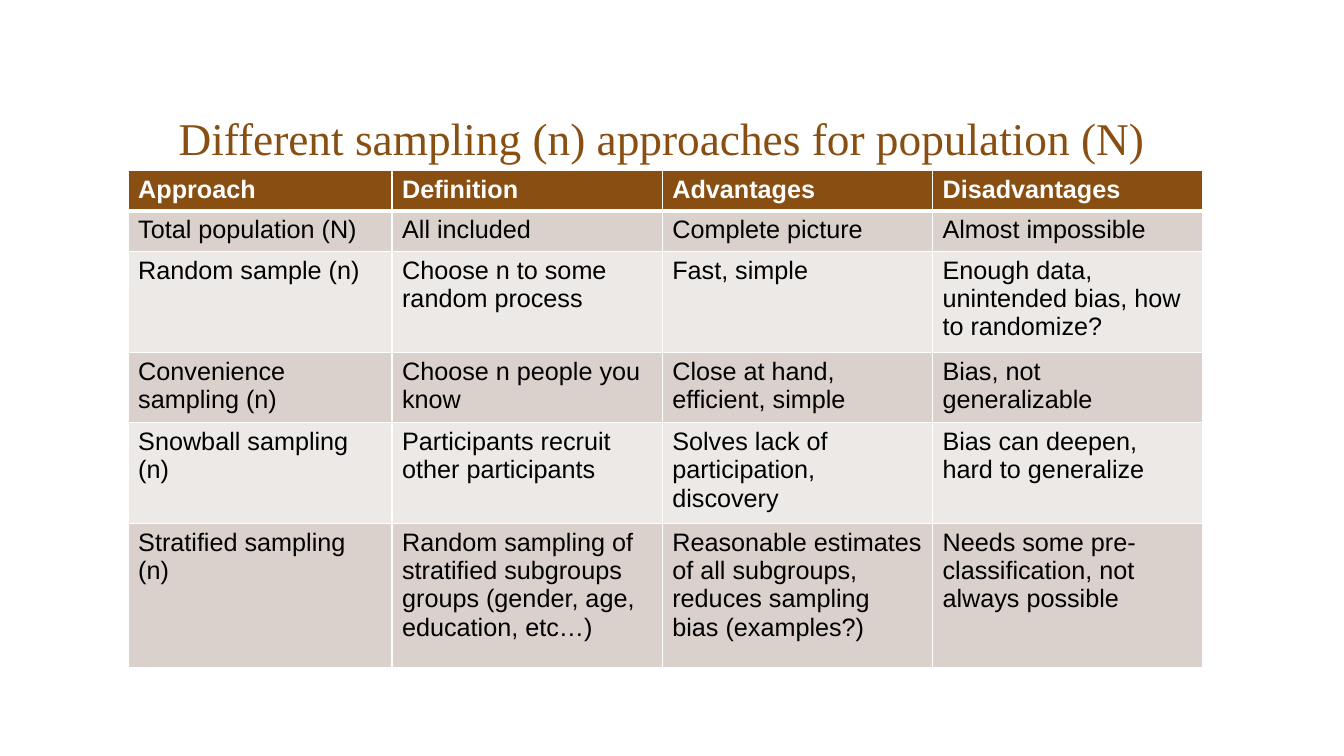
from dataclasses import dataclass

from lxml import etree
from pptx import Presentation
from pptx.dml.color import RGBColor
from pptx.enum.text import MSO_ANCHOR
from pptx.oxml.ns import qn
from pptx.util import Cm, Pt

BOTTOM = MSO_ANCHOR.BOTTOM

# Content
TITLE = "Different sampling (n) approaches for population (N)"
ROWS = [
    ("Approach", "Definition", "Advantages", "Disadvantages"),
    ("Total population (N)", "All included", "Complete picture", "Almost impossible"),
    ("Random sample (n)", "Choose n to some random process", "Fast, simple",
     "Enough data, unintended bias, how to randomize?"),
    ("Convenience sampling (n)", "Choose n people you know",
     "Close at hand, efficient, simple", "Bias, not generalizable"),
    ("Snowball sampling (n)", "Participants recruit other participants",
     "Solves lack of participation, discovery", "Bias can deepen, hard to generalize"),
    ("Stratified sampling (n)",
     "Random sampling of stratified subgroups groups (gender, age, education, etc…)",
     "Reasonable estimates of all subgroups, reduces sampling bias (examples?)",
     "Needs some pre-classification, not always possible"),
]
COL_WIDTHS = [6.65, 6.81, 6.81, 6.81]
ROW_HEIGHTS = [0.97, 0.97, 2.41, 1.68, 2.41, 3.63]


@dataclass(frozen=True)
class Theme:
    title_font: str = "Times New Roman"
    body_font: str = "Arial"
    title_size: float = 32.4
    body_size: float = 18
    accent: str = "894E11"
    white: str = "FFFFFF"
    text: str = "000000"
    bands: tuple = ("EDE9E7", "DAD0CC")
    thin: float = 1
    thick: float = 3


THEME = Theme()


def set_font(p, name, size, color, bold=False):
    p.font.name = name
    p.font.size = Pt(size)
    p.font.bold = bold
    p.font.color.rgb = RGBColor.from_string(color)


def set_borders(cell, bottom_width):
    """Insert the four edge lines ahead of the cell fill."""
    tc_pr = cell._tc.get_or_add_tcPr()
    widths = {"a:lnL": THEME.thin, "a:lnR": THEME.thin,
              "a:lnT": THEME.thin, "a:lnB": bottom_width}
    for i, (tag, width) in enumerate(widths.items()):
        ln = etree.Element(qn(tag), w=str(Pt(width)))
        fill = etree.SubElement(ln, qn("a:solidFill"))
        etree.SubElement(fill, qn("a:srgbClr"), val=THEME.white)
        tc_pr.insert(i, ln)


def add_title(slide):
    tf = slide.shapes.add_textbox(Cm(4.5), Cm(0.99), Cm(24.51), Cm(3.96)).text_frame
    tf.word_wrap = True
    tf.vertical_anchor = BOTTOM
    tf.margin_left = tf.margin_top = tf.margin_right = 0
    tf.margin_bottom = Cm(0.79)
    p = tf.paragraphs[0]
    p.text = TITLE
    p.line_spacing = 0.9
    set_font(p, THEME.title_font, THEME.title_size, THEME.accent)


def add_sampling_table(slide):
    table = slide.shapes.add_table(
        len(ROWS), len(COL_WIDTHS), Cm(3.23), Cm(4.3),
        Cm(sum(COL_WIDTHS)), Cm(sum(ROW_HEIGHTS))).table
    for column, width in zip(table.columns, COL_WIDTHS):
        column.width = Cm(width)
    for r, (row, height) in enumerate(zip(ROWS, ROW_HEIGHTS)):
        table.rows[r].height = Cm(height)
        header = r == 0
        for c, text in enumerate(row):
            cell = table.cell(r, c)
            cell.text = text
            cell.fill.solid()
            cell.fill.fore_color.rgb = RGBColor.from_string(
                THEME.accent if header else THEME.bands[r % 2])
            set_borders(cell, THEME.thick if header else THEME.thin)
            set_font(cell.text_frame.paragraphs[0], THEME.body_font, THEME.body_size,
                     THEME.white if header else THEME.text, header)


def main():
    prs = Presentation()
    prs.slide_width, prs.slide_height = Cm(33.87), Cm(19.05)
    slide = prs.slides.add_slide(prs.slide_layouts[6])
    add_title(slide)
    add_sampling_table(slide)
    prs.save("out.pptx")


if __name__ == "__main__":
    main()
